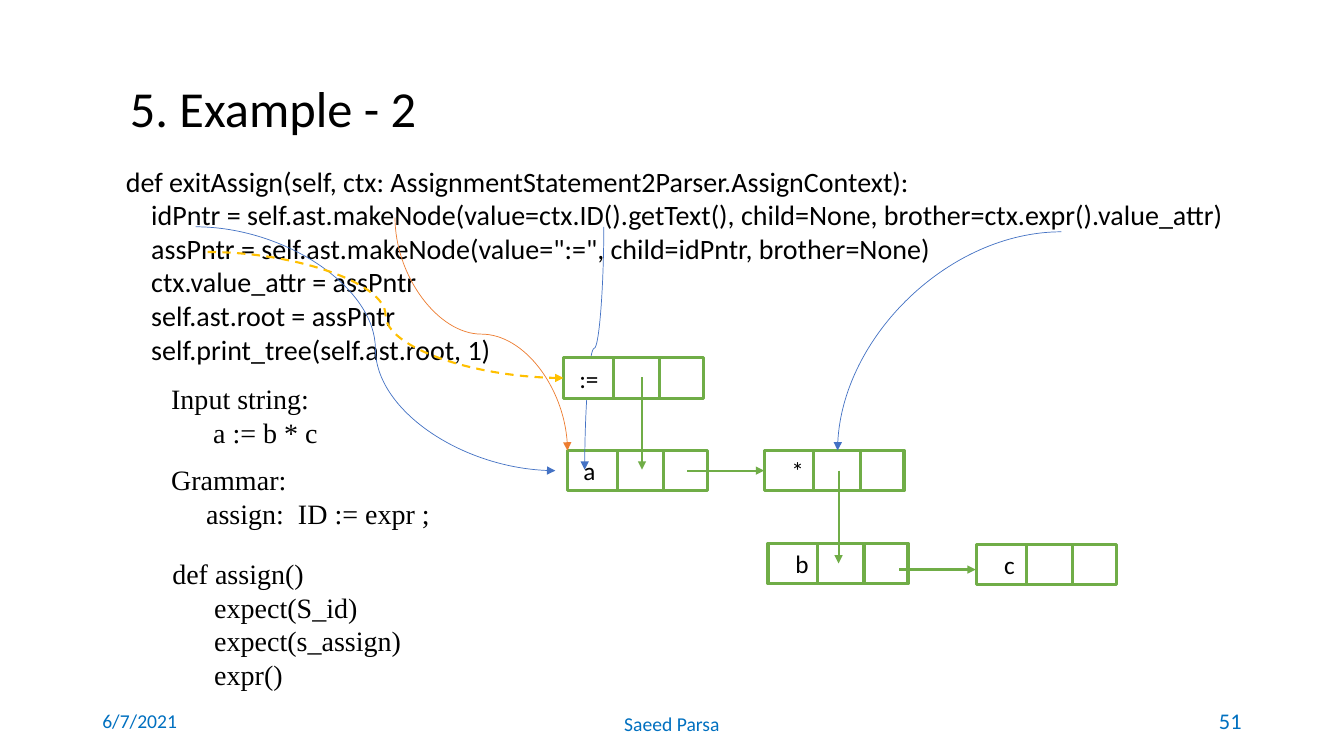
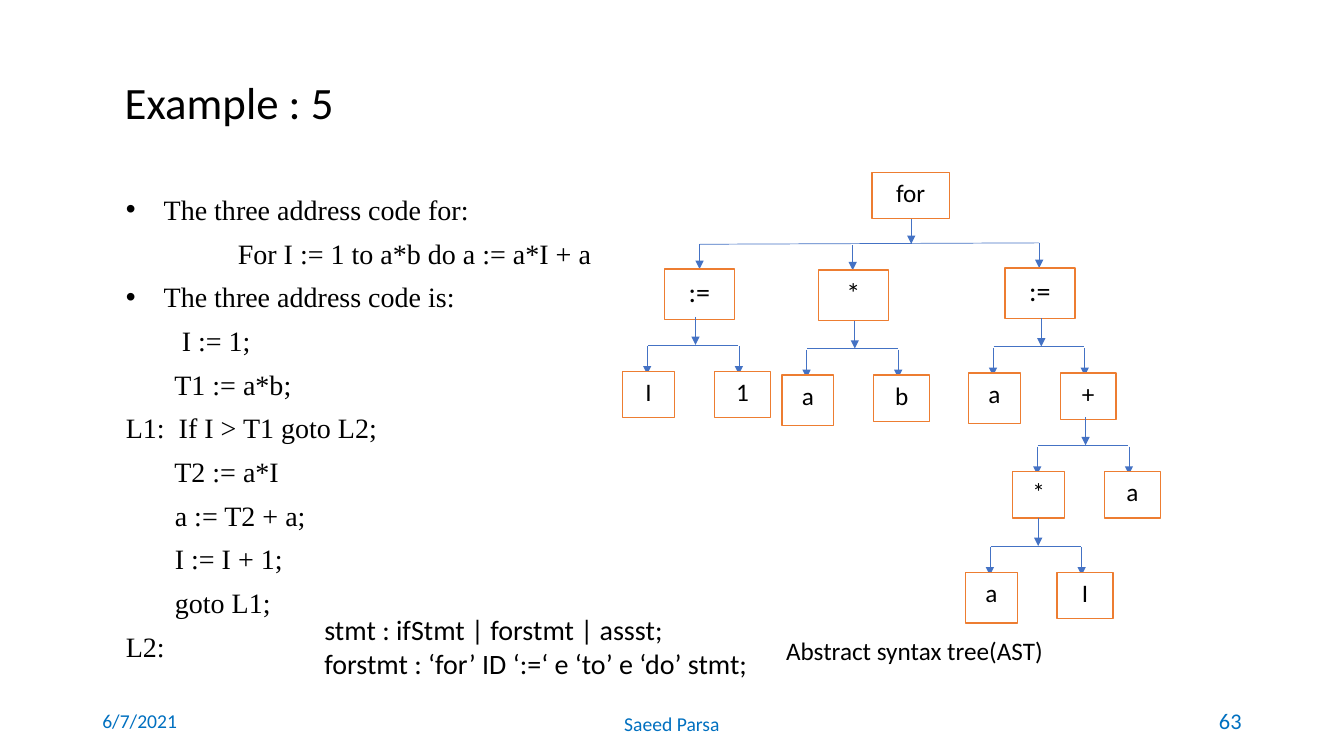
from lxml import etree
from pptx import Presentation
from pptx.dml.color import RGBColor
from pptx.enum.dml import MSO_LINE
from pptx.enum.shapes import MSO_CONNECTOR, MSO_SHAPE
from pptx.enum.text import MSO_ANCHOR, PP_ALIGN
from pptx.oxml.ns import qn
from pptx.util import Pt

STRAIGHT, CURVE = MSO_CONNECTOR.STRAIGHT, MSO_CONNECTOR.CURVE
RECTANGLE = MSO_SHAPE.RECTANGLE
DASH = MSO_LINE.DASH
TOP, MIDDLE = MSO_ANCHOR.TOP, MSO_ANCHOR.MIDDLE
LEFT, CENTER, RIGHT = PP_ALIGN.LEFT, PP_ALIGN.CENTER, PP_ALIGN.RIGHT

COLORS = {
    "text": "000000",
    "paper": "FFFFFF",
    "footer": "0070C0",
    "green": "70AD47",
    "blue": "4472C4",
    "orange": "ED7D31",
    "yellow": "FFC000",
}
SANS, SERIF = "Calibri", "Times New Roman"
BULLET_INDENT = Pt(27)


def add_box(slide, at, lines, size, name=SANS, color="text", outline=None, weight=1,
            align=LEFT, anchor=TOP, spacing=1.0, inset=7.2, bullets=()):
    place = [Pt(value) for value in at]
    if outline:
        shape = slide.shapes.add_shape(RECTANGLE, *place)
        shape.shadow.inherit = False
        shape.fill.solid()
        shape.fill.fore_color.rgb = RGBColor.from_string(COLORS["paper"])
        shape.line.color.rgb = RGBColor.from_string(COLORS[outline])
        shape.line.width = Pt(weight)
    else:
        shape = slide.shapes.add_textbox(*place)
    frame = shape.text_frame
    frame_format = {"word_wrap": True, "vertical_anchor": anchor, "margin_left": Pt(inset)}
    for key, value in frame_format.items():
        setattr(frame, key, value)
    for index, line in enumerate(lines):
        paragraph = frame.paragraphs[0] if index == 0 else frame.add_paragraph()
        paragraph.alignment = align
        paragraph.line_spacing = spacing
        if index in bullets:
            properties = paragraph._p.get_or_add_pPr()
            properties.set("marL", str(BULLET_INDENT))
            properties.set("indent", str(-BULLET_INDENT))
            etree.SubElement(properties, qn("a:buFont")).set("typeface", "Arial")
            etree.SubElement(properties, qn("a:buChar")).set("char", "•")
        run = paragraph.add_run()
        run.text = line
        for key, value in {"size": Pt(size), "name": name}.items():
            setattr(run.font, key, value)
        run.font.color.rgb = RGBColor.from_string(COLORS[color])


def add_line(slide, start, end, color="blue", width=0.5, arrow=True, kind=STRAIGHT,
             preset=None, downward=False, dash=None):
    if downward:
        middle_x, middle_y = (start[0] + end[0]) / 2, (start[1] + end[1]) / 2
        half_x, half_y = (end[1] - start[1]) / 2, (start[0] - end[0]) / 2
        start = (middle_x - half_x, middle_y - half_y)
        end = (middle_x + half_x, middle_y + half_y)
    connector = slide.shapes.add_connector(kind, *[Pt(value) for value in (*start, *end)])
    connector.line.color.rgb = RGBColor.from_string(COLORS[color])
    connector.line.width = Pt(width)
    if dash:
        connector.line.dash_style = dash
    properties = connector._element.spPr
    if downward:
        properties.find(qn("a:xfrm")).set("rot", "5400000")
    if preset:
        properties.find(qn("a:prstGeom")).set("prst", preset)
    if arrow:
        etree.SubElement(properties.find(qn("a:ln")), qn("a:tailEnd")).set("type", "triangle")
    etree.SubElement(properties, qn("a:effectLst"))


presentation = Presentation()
presentation.slide_width, presentation.slide_height = Pt(960), Pt(540)
blank_layout = presentation.slide_layouts[6]

slides = []
for title, at, size, number in [
    ("5. Example - 2", (85.7, 56.2, 375, 42), 36, "51"),
    ("Example : 5", (82, 54, 680, 42), 32, "63"),
]:
    slide = presentation.slides.add_slide(blank_layout)
    add_box(slide, at, [title], size, spacing=0.9)
    for text, left, width, height, footer_size, align in [
        ("6/7/2021", 66, 216, 28.8, 14, LEFT),
        ("Saeed Parsa", 282, 396, 32.4, 14, CENTER),
        (number, 678, 216, 28.8, 16, RIGHT),
    ]:
        add_box(slide, (left, 500.4, width, height), [text], footer_size,
                color="footer", align=align, anchor=MIDDLE)
    slides.append(slide)
node_slide, tree_slide = slides

add_box(node_slide, (64.8, 113.7, 852, 153), [
    "    def exitAssign(self, ctx: AssignmentStatement2Parser.AssignContext):",
    "        idPntr = self.ast.makeNode(value=ctx.ID().getText(), child=None, brother=ctx.expr().value_attr)",
    '        assPntr = self.ast.makeNode(value=":=", child=idPntr, brother=None)',
    "        ctx.value_attr = assPntr",
    "        self.ast.root = assPntr",
    "        self.print_tree(self.ast.root, 1)",
], 20)
for at, lines in [
    ((115.2, 269.3, 158, 55.4), ["Input string:", "      a := b * c"]),
    ((115.2, 327, 241, 55.4), ["Grammar:", "     assign:  ID := expr ;"]),
    ((116, 394, 205, 104.4),
     ["def assign()", "      expect(S_id)", "      expect(s_assign)", "      expr()"]),
]:
    add_box(node_slide, at, lines, 20, SERIF)

curves = [
    ((431.3, 162), (417.6, 335.5), {"downward": True}),
    ((758.2, 165.6), (598.3, 321.8), {"preset": "curvedConnector2"}),
    ((139.7, 162), (396.7, 336.2), {}),
    ((282.2, 155.5), (405.4, 321.8), {"downward": True, "color": "orange"}),
    ((148.3, 180), (402.5, 270), {"color": "yellow", "width": 1.5, "dash": DASH}),
]
root_curve = curves.pop()
node_groups = [
    ([("a", 405.4, 321.8, 11.3), ("*", 545.8, 321.8, 19.5),
      ("b", 548.6, 388.1, 19.5), ("c", 697.7, 388.8, 19.5)],
     [((491, 336.2), (545.8, 336.2)), ((642.2, 406.8), (697, 406.8)),
      ((599, 336.2), (599, 402.5))],
     curves),
    ([(":=", 402.5, 255.6, 11.3)], [((458.6, 269.3), (458.6, 335.5))], [root_curve]),
]
for nodes, arrows, group_curves in node_groups:
    for label, left, top, inset in nodes:
        add_box(node_slide, (left, top, 100, 28.8), [label], 18, outline="green",
                weight=2.25, anchor=MIDDLE, inset=inset)
        add_box(node_slide, (left + 35.6, top, 33, 28.8), [], 18, outline="green", weight=2.25)
    for start, end in arrows:
        add_line(node_slide, start, end, "green", 1.5)
    for start, end, options in group_curves:
        add_line(node_slide, start, end, kind=CURVE, **options)

add_box(tree_slide, (82.8, 126.7, 397.4, 350.6), [
    "The three address code for:",
    "                For I := 1 to a*b do a := a*I + a",
    "The three address code is:",
    "        I := 1;",
    "       T1 := a*b;",
    "L1:  If I > T1 goto L2;",
    "       T2 := a*I",
    "       a := T2 + a;",
    "       I := I + 1;",
    "       goto L1;",
    "L2:",
], 20, SERIF, spacing=1.3, bullets=(0, 2))
add_box(tree_slide, (554.4, 450, 221, 28.8), ["Abstract syntax tree(AST)"], 18)
add_box(tree_slide, (224.6, 434.2, 323.3, 55.4), [
    "stmt : ifStmt | forstmt | assst;",
    "forstmt : ‘for’ ID ‘:=‘ e ‘to’ e ‘do’ stmt;",
], 20)

add_box(tree_slide, (622.8, 123.1, 55.4, 33.1), ["for"], 18, outline="orange", align=CENTER)
add_line(tree_slide, (650.9, 156.2), (650.9, 174.2))
add_line(tree_slide, (500, 174.5), (742.3, 173.5), arrow=False)
for label, left, drop_x, drop_y in [
    (":=", 474.5, 499.7, 174.2),
    ("*", 584.6, 609.1, 175),
    (":=", 717.8, 742.3, 173.5),
]:
    add_line(tree_slide, (drop_x, drop_y), (drop_x, drop_y + 18))
    add_box(tree_slide, (left, drop_y + 18, 50, 36), [label], 20, outline="orange", align=CENTER)

for stem_x, stem_y, left_label, left_height, right_label in [
    (496.8, 226.4, "I", 33, "1"),
    (610.6, 229, "a", 36, "b"),
    (743.8, 227.5, "a", 36, "+"),
    (775.4, 298, "*", 33, "a"),
    (741.6, 370, "a", 36, "I"),
]:
    bar_y = stem_y + 20
    add_line(tree_slide, (stem_x, stem_y), (stem_x, bar_y))
    add_line(tree_slide, (stem_x - 34, bar_y), (stem_x + 30.5, bar_y), arrow=False)
    for label, drop_offset, box_offset, width, height in [
        (left_label, -34.5, -52, 37, left_height),
        (right_label, 31, 13.5, 40, 33),
    ]:
        drop_x = stem_x + drop_offset
        add_line(tree_slide, (drop_x, bar_y + 1), (drop_x, bar_y + 21))
        add_box(tree_slide, (stem_x + box_offset, bar_y + 19, width, height), [label], 18,
                outline="orange", align=CENTER)

presentation.save("out.pptx")
